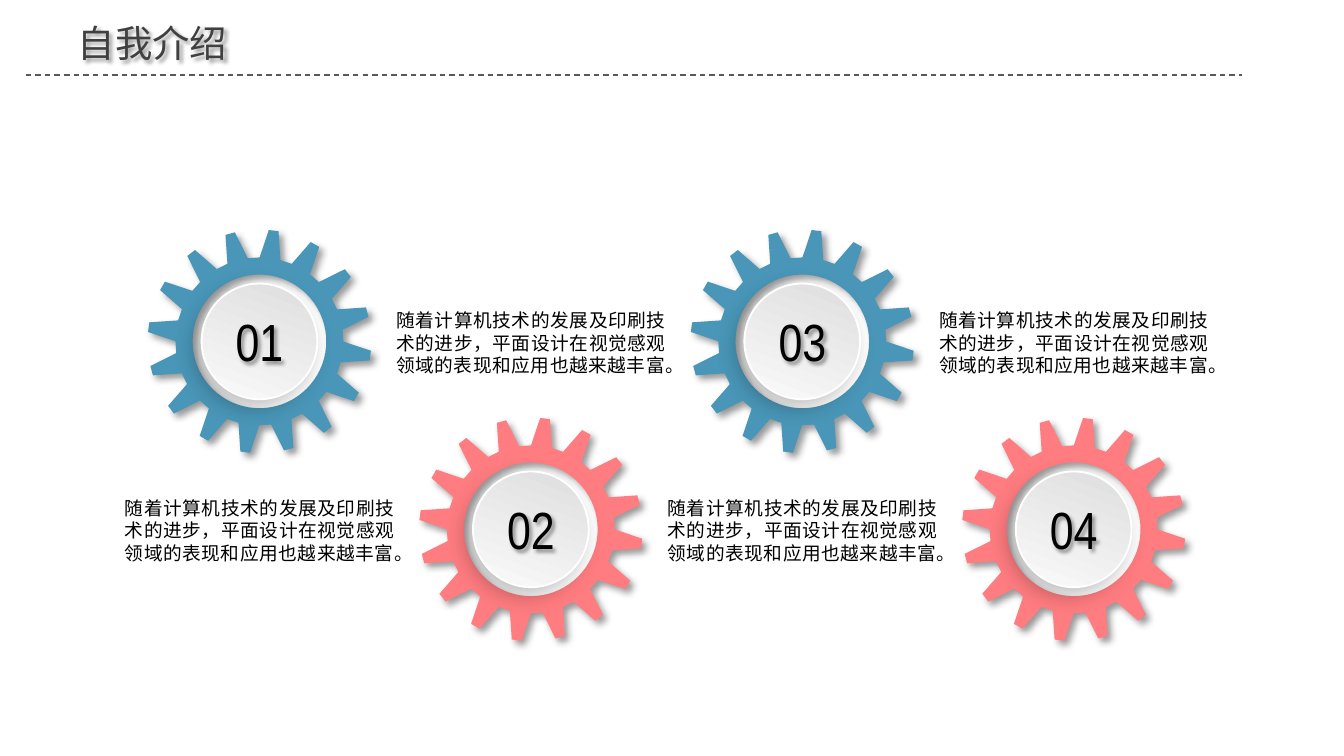
"""Build the self-introduction slide with four numbered gears and their captions."""
from math import cos, radians, sin

from lxml.etree import SubElement
from pptx import Presentation
from pptx.dml.color import RGBColor
from pptx.enum.dml import MSO_LINE
from pptx.enum.shapes import MSO_CONNECTOR, MSO_SHAPE
from pptx.enum.text import MSO_AUTO_SIZE, PP_ALIGN
from pptx.oxml.ns import qn
from pptx.util import Pt

COLORS = {
    "blue": "4996B8",
    "pink": "FF7C80",
    "white": "FFFFFF",
    "silver": "D9D9D9",
    "rule": "595959",
    "title": "404040",
    "black": "000000",
}
RGB = {name: RGBColor.from_string(value) for name, value in COLORS.items()}
CJK_FONT = "Noto Sans CJK SC"
CAPTION = "随着计算机技术的发展及印刷技术的进步，平面设计在视觉感观领域的表现和应用也越来越丰富。"
COLUMN_STEP, ROW_STEP = 145.4, 100.7
TEETH, TOOTH_STEP, TOOTH_OFFSET = 16, 22.5, 7.3
TOOTH_PROFILE = [(-7.2, 45), (-2.5, 59.9), (2.5, 59.9), (7.2, 45)]
HOLE_RADIUS, DISC_RADIUS = 35.8, 31


def add_shadow(shape, opacity, blur, distance, angle):
    shape.shadow.inherit = False
    effects = shape._element.spPr.find(qn("a:effectLst"))
    outer = SubElement(effects, qn("a:outerShdw"), blurRad=str(Pt(blur)), dist=str(Pt(distance)),
                       dir=str(angle * 60000), algn="ctr", rotWithShape="0")
    color = SubElement(outer, qn("a:srgbClr"), val=COLORS["black"])
    SubElement(color, qn("a:alpha"), val=str(opacity * 1000))


def add_text(shapes, text, left, top, width, height, size, font, color, align):
    box = shapes.add_textbox(Pt(left), Pt(top), Pt(width), Pt(height))
    box.text_frame.word_wrap = True
    box.text_frame.auto_size = MSO_AUTO_SIZE.SHAPE_TO_FIT_TEXT
    para = box.text_frame.paragraphs[0]
    para.text = text
    para.alignment = align
    para.font.size = Pt(size)
    para.font.name = font
    para.font.color.rgb = RGB[color]
    SubElement(para.font._element, qn("a:ea"), typeface=font)
    return box


deck = Presentation()
deck.slide_width, deck.slide_height = Pt(720), Pt(405)
page = deck.slides.add_slide(deck.slide_layouts[6])

for index in range(4):
    caption = add_text(page.shapes, CAPTION, 59.8 + COLUMN_STEP * (index ^ 1),
                       162 + ROW_STEP * (index % 2), 158.4, 43.9, 10, CJK_FONT, "black",
                       PP_ALIGN.JUSTIFY)
    caption.text_frame.paragraphs[0].line_spacing = Pt(12)

for index in range(4):
    center_x = 139 + COLUMN_STEP * index
    center_y = 182.9 + ROW_STEP * (index % 2)
    group = page.shapes.add_group_shape()

    polar_rim = [(TOOTH_OFFSET + TOOTH_STEP * tooth + angle, radius)
                 for tooth in range(TEETH) for angle, radius in TOOTH_PROFILE]
    polar_hole = [(angle, HOLE_RADIUS) for angle in range(360, 0, -5)]
    rim, hole = [
        [(Pt(center_x + radius * sin(radians(angle))), Pt(center_y - radius * cos(radians(angle))))
         for angle, radius in polar]
        for polar in (polar_rim, polar_hole)
    ]
    outline = group.shapes.build_freeform(*rim[0])
    outline.add_line_segments(rim[1:], close=True)
    outline.move_to(*hole[0])
    outline.add_line_segments(hole[1:], close=True)
    gear = outline.convert_to_shape()
    gear.fill.solid()
    gear.fill.fore_color.rgb = RGB["pink" if index % 2 else "blue"]
    gear.line.fill.background()
    add_shadow(gear, 40, 4, 3, 45)

    disc = group.shapes.add_shape(MSO_SHAPE.OVAL, Pt(center_x - DISC_RADIUS),
                                  Pt(center_y - DISC_RADIUS), Pt(2 * DISC_RADIUS),
                                  Pt(2 * DISC_RADIUS))
    disc.rotation = 336.2
    disc.fill.gradient()
    disc.fill.gradient_angle = 45
    for stop, name in zip(disc.fill.gradient_stops, ("white", "silver")):
        stop.color.rgb = RGB[name]
    disc.line.color.rgb = RGB["white"]
    disc.line.width = Pt(1)
    add_shadow(disc, 26, 12, 5, 135)

    number = add_text(group.shapes, f"{index + 1:02}", center_x - 24.5, center_y - 20.7, 49, 41,
                      28, "Arial Narrow", "black", PP_ALIGN.CENTER)
    add_shadow(number, 40, 2, 2, 45)

rule = page.shapes.add_connector(MSO_CONNECTOR.STRAIGHT, Pt(13.7), Pt(40.3), Pt(665.3), Pt(40.3))
rule.line.color.rgb = RGB["rule"]
rule.line.width = Pt(0.75)
rule.line.dash_style = MSO_LINE.DASH
SubElement(rule._element.spPr, qn("a:effectLst"))

title = add_text(page.shapes, "自我介绍", 34.6, 7.2, 254.9, 31.7, 20, CJK_FONT, "title",
                 PP_ALIGN.LEFT)
add_shadow(title, 40, 2, 2, 45)

deck.save("out.pptx")
